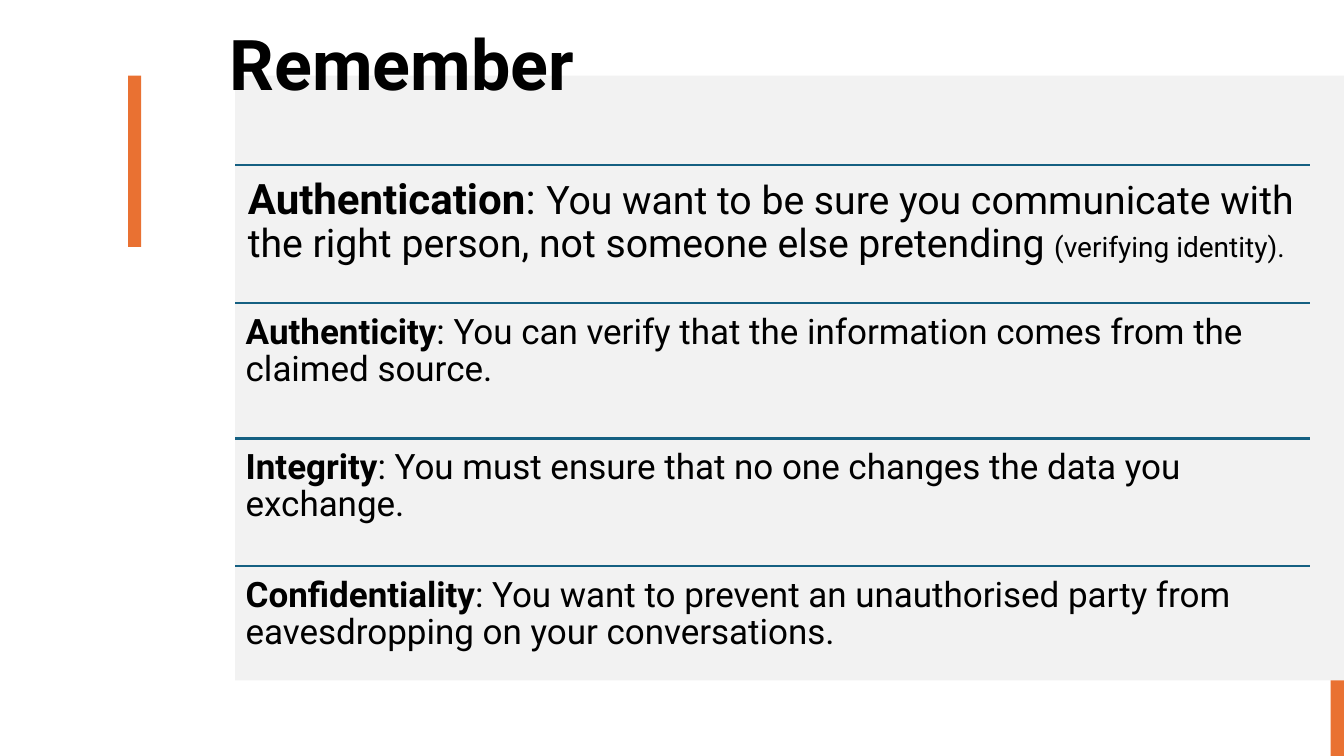
from pptx import Presentation
from pptx.dml.color import RGBColor as Color
from pptx.enum.shapes import MSO_CONNECTOR as Link, MSO_SHAPE as Form
from pptx.enum.text import MSO_ANCHOR as Anchor, MSO_AUTO_SIZE as Fit, PP_ALIGN as Align
from pptx.oxml.ns import qn
from pptx.util import Pt
from lxml import etree

HUES = {"panel": "F2F2F2", "accent": "E97132", "rule": "156082", "ink": "000000"}
LEFT, RIGHT = 168, 936


def hue(name):
    return Color.from_string(HUES[name])


def write(para, text, size=25, bold=False, font="Roboto", color="ink"):
    run = para.add_run()
    run.text = text
    run.font.name = font
    run.font.size = Pt(size)
    run.font.bold = bold
    run.font.color.rgb = hue(color)


class Page:
    def __init__(self, slide):
        self.slide = slide
        self.shapes = slide.shapes

    def block(self, x, y, w, h, color):
        shape = self.shapes.add_shape(Form.RECTANGLE, Pt(x), Pt(y), Pt(w), Pt(h))
        shape.shadow.inherit = False
        shape.fill.solid()
        shape.fill.fore_color.rgb = hue(color)
        shape.line.fill.background()
        return shape

    def frame(self, shape, inset):
        frame = shape.text_frame
        frame.word_wrap = True
        frame.auto_size = Fit.NONE
        frame.vertical_anchor = Anchor.TOP
        frame.margin_left = frame.margin_right = Pt(inset[0])
        frame.margin_top = frame.margin_bottom = Pt(inset[1])
        para = frame.paragraphs[0]
        para.alignment = Align.LEFT
        para.line_spacing = 0.9
        return para

    def title(self, text, x, y, w, h):
        shape = self.shapes.title
        shape.left, shape.top, shape.width, shape.height = Pt(x), Pt(y), Pt(w), Pt(h)
        write(self.frame(shape, (7.2, 3.6)), text, size=50, bold=True)
        return shape

    def rule(self, y):
        line = self.shapes.add_connector(Link.STRAIGHT, Pt(LEFT), Pt(y), Pt(RIGHT), Pt(y))
        line.line.color.rgb = hue("rule")
        line.line.width = Pt(1.5)
        etree.SubElement(line.element.spPr, qn("a:effectLst"))

    def entry(self, y, h, inset, term, parts, size):
        self.rule(y)
        box = self.shapes.add_textbox(Pt(LEFT), Pt(y), Pt(RIGHT - LEFT), Pt(h))
        para = self.frame(box, (inset, inset))
        write(para, term, size=size, bold=True)
        for text, points in parts:
            write(para, text, size=points)


ROWS = [
    (118, 98.7, 9, "Authentication", 30, [
        (": ", 30),
        ("You want to be sure you communicate with the right person, "
         "not someone else pretending ", 28),
        ("(verifying identity).", 20)]),
    (216.7, 96.5, 7.5, "Authenticity", 25, [
        (": You can verify that the information comes from the claimed source.", 25)]),
    (313.2, 91.4, 7.5, "Integrity", 25, [
        (": You must ensure that no one changes the data you exchange.", 25)]),
    (404.6, 72, 7.5, "Confidentiality", 25, [
        (": You want to prevent an unauthorised party from "
         "eavesdropping on your conversations.", 25)]),
]


def main():
    deck = Presentation()
    deck.slide_width, deck.slide_height = Pt(960), Pt(540)
    page = Page(deck.slides.add_slide(deck.slide_layouts[5]))
    title = page.title("Remember", 157, 18, 400, 133)
    panel = page.block(LEFT, 54, 792, 432, "panel")
    title.element.addprevious(panel.element)
    page.block(91.5, 54, 9.4, 122.4, "accent")
    page.block(950.4, 486, 9.6, 54, "accent")
    for y, h, inset, term, size, parts in ROWS:
        page.entry(y, h, inset, term, parts, size)
    deck.save("out.pptx")


if __name__ == "__main__":
    main()
